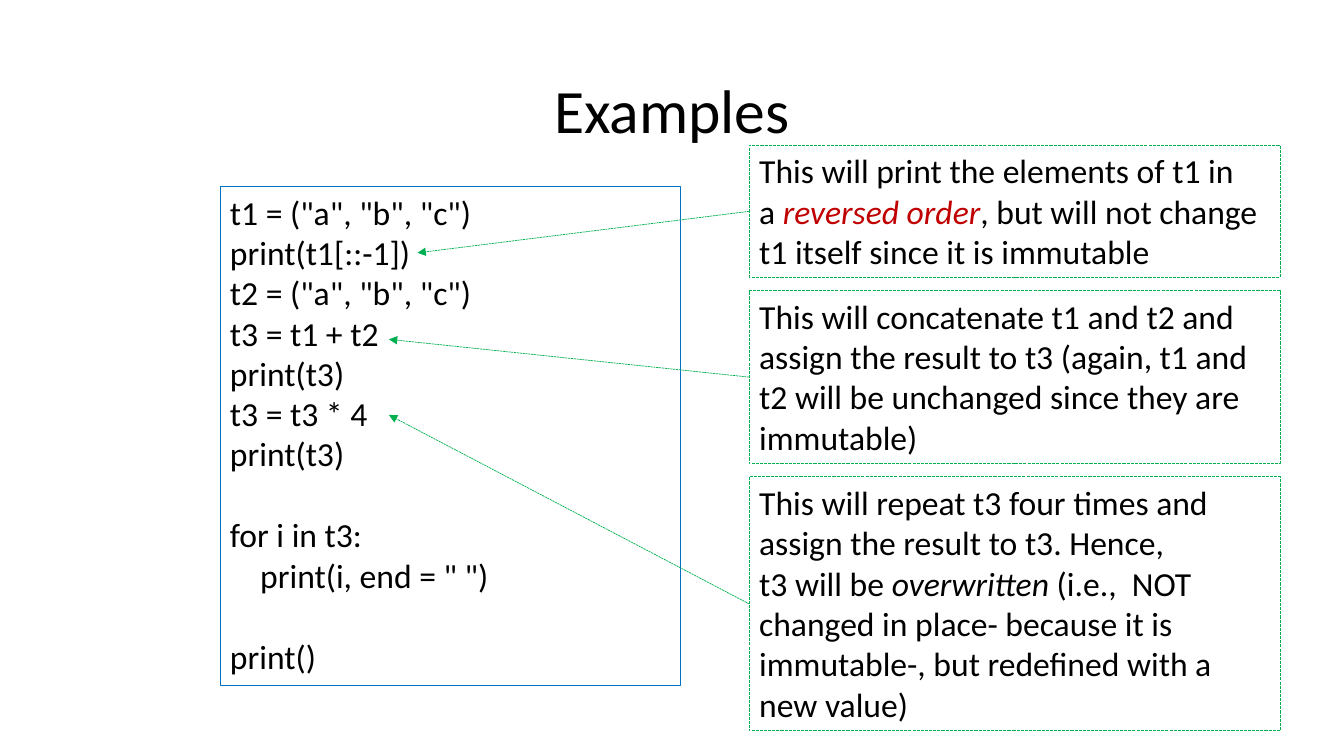
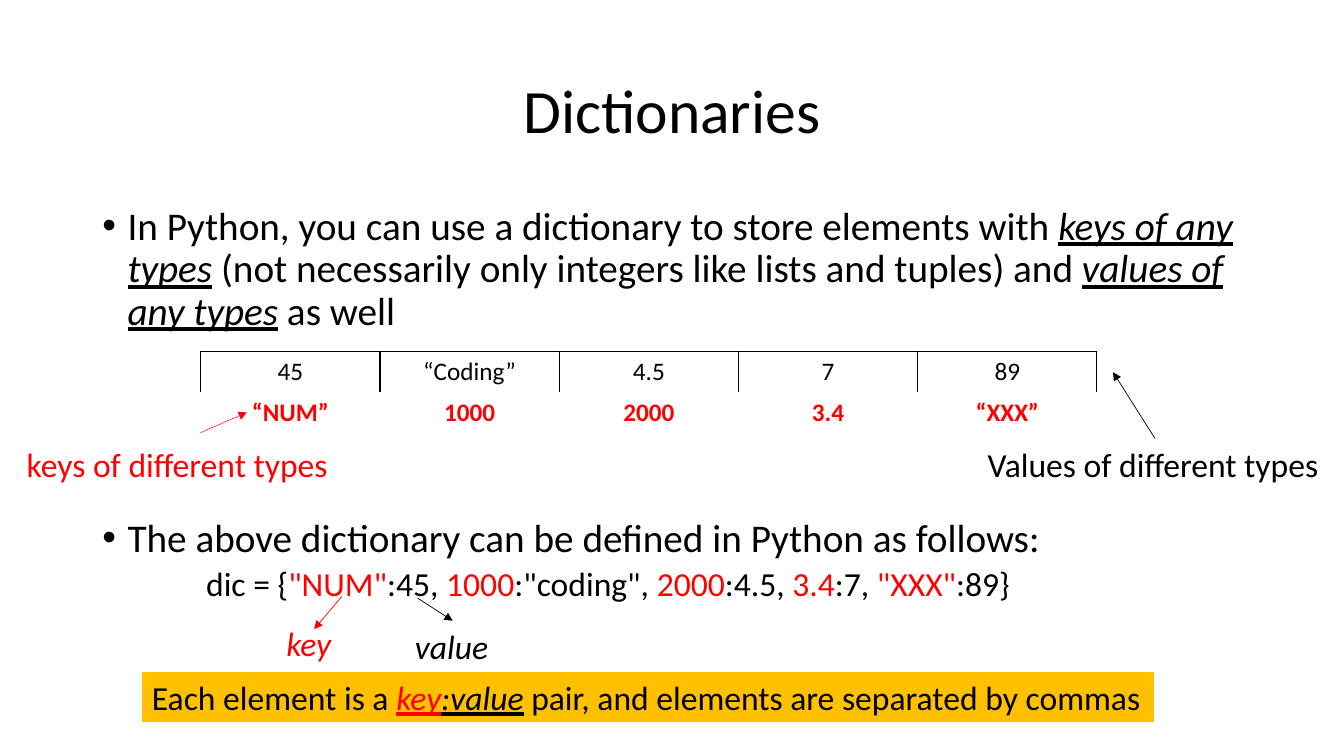
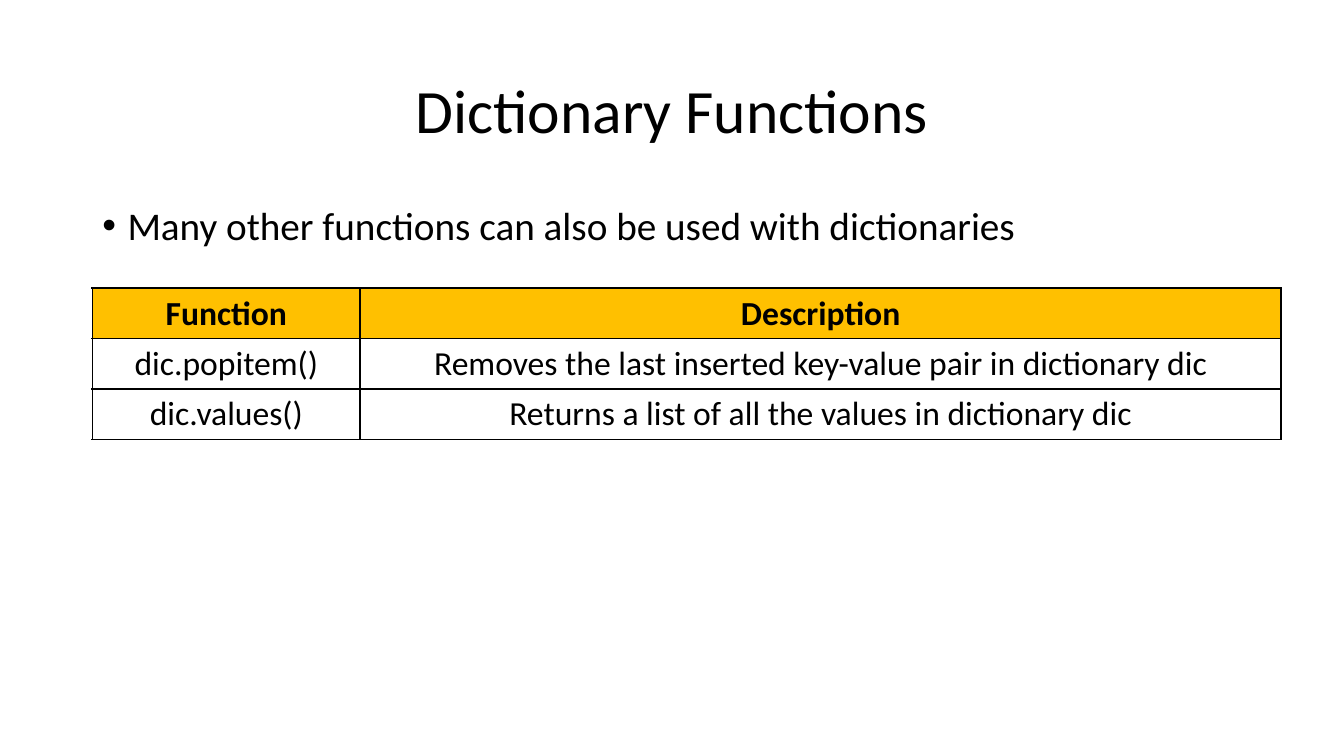
from dataclasses import dataclass

from lxml import etree
from pptx import Presentation
from pptx import util as u
from pptx.dml import color
from pptx.enum import dml, shapes, text
from pptx.oxml import ns

COLOURS = {"ink": "000000", "paper": "FFFFFF", "code": "0070C0", "note": "00B050",
           "stress": "C00000", "key": "FF0000", "gold": "FFC000"}
FONT = "Calibri"
SLIDE_W, SLIDE_H = u.Inches(13.33), u.Inches(7.5)
COLUMNS, ROWS = 160, 90
LABEL_H = 6
LINE_H, PADDING_H = 4.84, 1.2


@dataclass
class Box:
    x: float
    y: float
    w: float = 0
    h: float = 0

    def inset(self, x, y, w=0, h=0):
        return Box(self.x + x, self.y + y, w, h)

    def point(self):
        return across(self.x), down(self.y)

    def frame(self):
        return *self.point(), across(self.w), down(self.h)


def across(columns):
    return round(SLIDE_W * columns / COLUMNS)


def down(rows):
    return round(SLIDE_H * rows / ROWS)


def rgb(name):
    return color.RGBColor.from_string(COLOURS[name])


def add_xml(parent, tag, **attributes):
    return etree.SubElement(parent, ns.qn(tag), attributes)


def style_run(run, size, ink="ink", marks=""):
    font = run.font
    font.name, font.size = FONT, u.Pt(size)
    font.color.rgb = rgb(ink)
    font.bold, font.italic, font.underline = ("b" in marks, "i" in marks, "u" in marks)


def write_paragraph(paragraph, pieces, size, ink="ink", marks=""):
    if isinstance(pieces, str):
        paragraph.text = pieces
        style_run(paragraph.runs[0], size, ink, marks)
        return
    for wording, *style in pieces:
        run = paragraph.add_run()
        run.text = wording
        style_run(run, size, *style)


def write_lines(frame, lines, size, ink="ink", marks="", wrap=True):
    frame.word_wrap = wrap
    frame.vertical_anchor = text.MSO_ANCHOR.TOP
    for number, pieces in enumerate(lines):
        paragraph = frame.add_paragraph() if number else frame.paragraphs[0]
        paragraph.alignment = text.PP_ALIGN.LEFT
        write_paragraph(paragraph, pieces, size, ink, marks)
    return frame.paragraphs


def label(slide, box, wording, ink="ink", marks=""):
    caption = slide.shapes.add_textbox(*box.frame())
    write_lines(caption.text_frame, [wording], 24, ink, marks, wrap=False)


def panel(slide, box, lines, outline, fill=None, dash=None):
    rect = slide.shapes.add_shape(shapes.MSO_SHAPE.RECTANGLE, *box.frame())
    rect.shadow.inherit = False
    if fill:
        rect.fill.solid()
        rect.fill.fore_color.rgb = rgb(fill)
    else:
        rect.fill.background()
    rect.line.color.rgb = rgb(outline)
    rect.line.width = u.Pt(0.75)
    rect.line.dash_style = dash
    write_lines(rect.text_frame, lines, 24)
    return rect


def arrow(slide, start, end, ink, dash=None):
    pointer = slide.shapes.add_connector(
        shapes.MSO_CONNECTOR.STRAIGHT, *start.point(), *end.point())
    pointer.line.color.rgb = rgb(ink)
    pointer.line.width = u.Pt(0.5)
    pointer.line.dash_style = dash
    properties = pointer._element.spPr
    add_xml(properties.get_or_add_ln(), "a:tailEnd", type="triangle")
    add_xml(properties, "a:effectLst")
    return pointer


def border_cell(cell, width):
    properties = cell._tc.get_or_add_tcPr()
    for place, side in enumerate(("a:lnL", "a:lnR", "a:lnT", "a:lnB")):
        edge = etree.Element(ns.qn(side), {"w": str(u.Pt(width))})
        add_xml(add_xml(edge, "a:solidFill"), "a:srgbClr", val=COLOURS["ink"])
        properties.insert(place, edge)


def grid_table(slide, box, rows, widths, size, ink="ink", marks="", border=None, header=None):
    table = slide.shapes.add_table(len(rows), len(widths), *box.frame()).table
    table.first_row = table.horz_banding = False
    for column, width in zip(table.columns, widths):
        column.width = across(width)
    for number, words in enumerate(rows):
        is_header = header is not None and number == 0
        for cell, wording in zip(table.rows[number].cells, words):
            if header:
                cell.fill.solid()
                cell.fill.fore_color.rgb = rgb(header if is_header else "paper")
            else:
                cell.fill.background()
            if border:
                border_cell(cell, border)
            paragraph = cell.text_frame.paragraphs[0]
            write_paragraph(paragraph, wording, size, ink, "b" if is_header else marks)
            paragraph.alignment = text.PP_ALIGN.CENTER


def titled_slide(deck, heading):
    slide = deck.slides.add_slide(deck.slide_layouts[5])
    title = slide.shapes.title
    title.left, title.top, title.width, title.height = Box(11, 4.8, 138, 17.4).frame()
    frame = title.text_frame
    frame.text = heading
    frame.auto_size = text.MSO_AUTO_SIZE.NONE
    frame.vertical_anchor = text.MSO_ANCHOR.MIDDLE
    paragraph = frame.paragraphs[0]
    paragraph.alignment = text.PP_ALIGN.CENTER
    paragraph.line_spacing = 0.9
    style_run(paragraph.runs[0], 44)
    return slide


def bullet_body(slide, points):
    body = slide.shapes.add_textbox(*Box(11, 24, 138, 57.1).frame())
    paragraphs = write_lines(body.text_frame, points, 28)
    for paragraph in paragraphs:
        paragraph.line_spacing = 0.9
        paragraph.space_before = u.Pt(10)
        properties = paragraph._p.get_or_add_pPr()
        properties.set("marL", str(u.Inches(0.25)))
        properties.set("indent", str(u.Inches(-0.25)))
        add_xml(properties, "a:buFont", typeface="Arial")
        add_xml(properties, "a:buChar", char="•")
    return body.text_frame


def code_panel(slide, box):
    lines = ['t1 = ("a", "b", "c")', "print(t1[::-1])", 't2 = ("a", "b", "c")',
             "t3 = t1 + t2", "print(t3)", "t3 = t3 * 4", "print(t3)",
             "for i in t3:", 'print(i, end = " ")', "print()"]
    paragraphs = panel(slide, box, lines, "code").text_frame.paragraphs
    for after_gap in (7, 9):
        paragraphs[after_gap].space_before = u.Pt(29)
    paragraphs[8]._p.get_or_add_pPr().set("marL", str(u.Inches(0.3)))


def note_column(slide, box, notes):
    top, gap = 0, 1.6
    for line_count, lines, target in notes:
        height = line_count * LINE_H + PADDING_H
        note = panel(slide, box.inset(0, top, box.w, height), lines, "note",
                     dash=dml.MSO_LINE.SQUARE_DOT)
        pointer = arrow(slide, box.inset(0, top + height / 2), target, "note",
                        dml.MSO_LINE.SQUARE_DOT)
        pointer.begin_connect(note, 1)
        top += height + gap


def examples_slide(deck):
    slide = titled_slide(deck, "Examples")
    code = Box(26.2, 22.2, 54.8, 59.4)
    code_panel(slide, code)
    note_column(slide, Box(89.2, 17.3, 63.2), [
        (3, ["This will print the elements of t1 in",
             [("a ",), ("reversed order", "stress", "i"), (", but will not change",)],
             "t1 itself since it is immutable"], code.inset(23.5, 7.9)),
        (4, ["This will concatenate t1 and t2 and assign the result to t3 "
             "(again, t1 and t2 will be unchanged since they are immutable)"],
         code.inset(20.1, 18.2)),
        (6, ["This will repeat t3 four times and assign the result to t3. Hence,",
             [("t3 will be ",), ("overwritten", "ink", "i"),
              (" (i.e.,  NOT changed in place- because it is immutable-, "
               "but redefined with a new value)",)]], code.inset(20.1, 27.2)),
    ])


def key_value_strip(slide, box):
    values = ["45", "“Coding”", "4.5", "7", "89"]
    keys = ["“NUM”", "1000", "2000", "3.4", "“XXX”"]
    widths = [box.w / len(values)] * len(values)
    grid_table(slide, box, [values], widths, 18, border=1)
    grid_table(slide, box.inset(0, box.h, box.w, box.h), [keys], widths, 18, "key", "b")
    label(slide, box.inset(-21.9, 10.4, 38.6, LABEL_H), "keys of different types", "key")
    arrow(slide, box.inset(0, 9.7), box.inset(5.5, 7.3), "key", dml.MSO_LINE.SQUARE_DOT)
    label(slide, box.inset(92.5, 10.4, 42.2, LABEL_H), "Values of different types")
    arrow(slide, box.inset(113.6, 10.4), box.inset(108.6, 2.5), "ink")


def pair_labels(slide, box):
    arrow(slide, box.inset(7.8, 0), box.inset(4.5, 3.9), "key")
    label(slide, box.inset(0, 2.6, 7.8, LABEL_H), "key", "key", "i")
    arrow(slide, box.inset(16.8, 0.2), box.inset(21, 2.9), "ink")
    label(slide, box.inset(15.3, 2.9, 11.3, LABEL_H), "value", "ink", "i")


def definition_line(frame):
    entries = [('"NUM"', ":45, "), ("1000", ':"coding", '), ("2000", ":4.5, "),
               ("3.4", ":7, "), ('"XXX"', ":89}")]
    pieces = [("dic = {",)]
    for key, value in entries:
        pieces += [(key, "key"), (value,)]
    paragraph = frame.add_paragraph()
    write_paragraph(paragraph, pieces, 24)
    paragraph.line_spacing = 0.9
    paragraph.space_before = u.Pt(5)
    paragraph._p.get_or_add_pPr().set("marL", str(u.Inches(1.03)))


def dictionaries_slide(deck):
    slide = titled_slide(deck, "Dictionaries")
    frame = bullet_body(slide, [
        [("In Python, you can use a dictionary to store elements with ",),
         ("keys of any types", "ink", "iu"),
         (" (not necessarily only integers like lists and tuples) and ",),
         ("values of any types", "ink", "iu"), (" as well",)],
        "The above dictionary can be defined in Python as follows:"])
    frame.paragraphs[1].space_before = u.Pt(132)
    definition_line(frame)
    key_value_strip(slide, Box(23.9, 41.8, 106.7, 4.9))
    pair_labels(slide, Box(32.9, 71))
    panel(slide, Box(16.9, 80, 120.6, LABEL_H),
          [[("Each element is a ",), ("key", "key", "iu"), (":value", "ink", "iu"),
            (" pair, and elements are separated by commas",)]], "paper", "gold")


def functions_slide(deck):
    slide = titled_slide(deck, "Dictionary Functions")
    bullet_body(slide, ["Many other functions can also be used with dictionaries"])
    grid_table(slide, Box(11, 34.3, 141.5, 18), [
        ("Function", "Description"),
        ("dic.popitem()", "Removes the last inserted key-value pair in dictionary dic"),
        ("dic.values()", "Returns a list of all the values in dictionary dic"),
    ], [31.9, 109.6], 24, border=1.5, header="gold")


def main():
    deck = Presentation()
    deck.slide_width, deck.slide_height = SLIDE_W, SLIDE_H
    examples_slide(deck)
    dictionaries_slide(deck)
    functions_slide(deck)
    deck.save("out.pptx")


if __name__ == "__main__":
    main()
